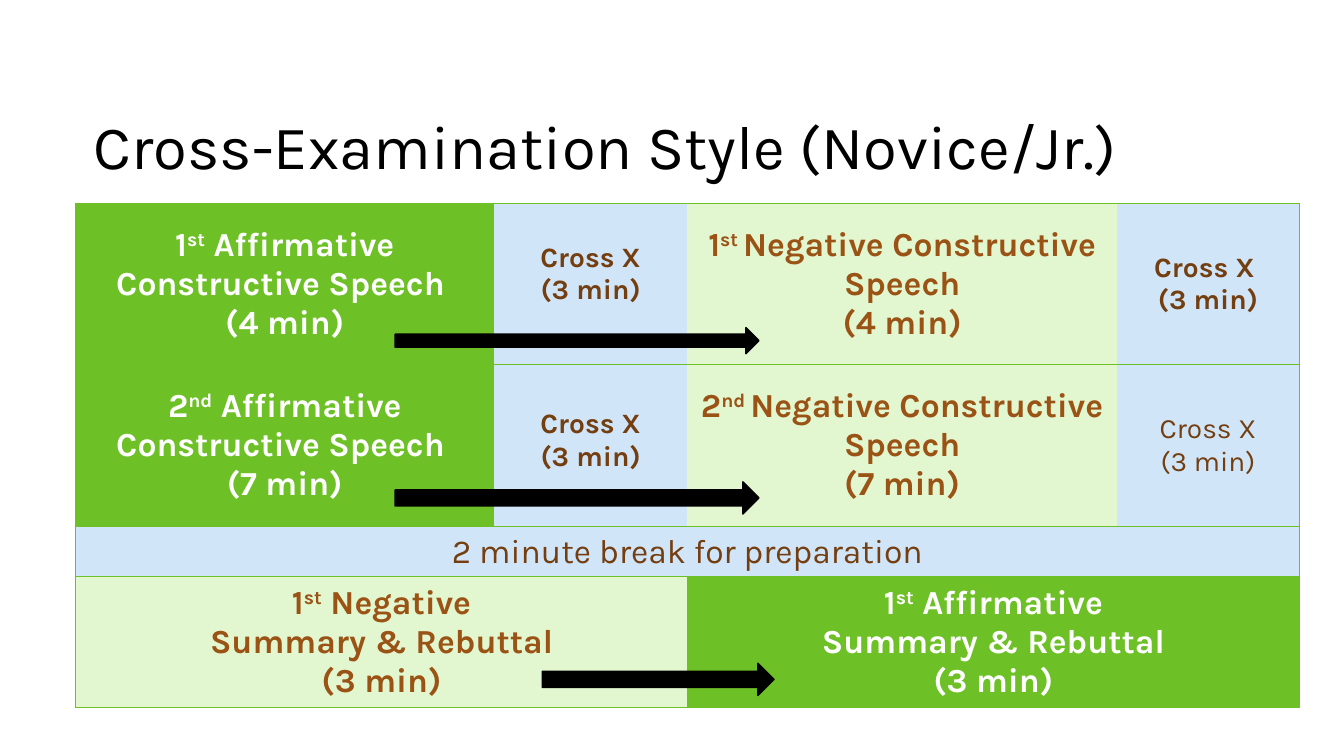
import lxml.etree
import pptx
import pptx.dml.color
import pptx.enum.shapes
import pptx.enum.text
import pptx.oxml.ns
import pptx.util

RGBColor = pptx.dml.color.RGBColor
BLACK = RGBColor(0x00, 0x00, 0x00)
WHITE = RGBColor(0xFF, 0xFF, 0xFF)
GREEN = RGBColor(0x6D, 0xC0, 0x25)
PALE_GREEN = RGBColor(0xE2, 0xF6, 0xD0)
PALE_BLUE = RGBColor(0xD1, 0xE5, 0xF9)
BROWN = RGBColor(0x73, 0x3E, 0x10)
ORANGE_BROWN = RGBColor(0x9A, 0x53, 0x15)

ANCHOR = pptx.enum.text.MSO_ANCHOR
ALIGN = pptx.enum.text.PP_ALIGN
FONT = "Karla"
GRID_COLUMNS, GRID_ROWS = 160, 90
UNIT = pptx.util.Inches(7.5) / GRID_ROWS
PLAIN_TABLE_STYLE = "{2D5ABB26-0587-4C30-8999-92F81FD0307C}"

TABLE_LEFT, TABLE_TOP = 9, 24.24
COLUMN_WIDTHS = [49.8, 23.04, 51.12, 21.72]
ROW_HEIGHTS = [19.2, 19.2, 5.64, 14.64]

# Fill and text format of each kind of cell
AFFIRMATIVE = (GREEN, {"size": pptx.util.Pt(24), "bold": True}, WHITE)
NEGATIVE = (PALE_GREEN, {"size": pptx.util.Pt(24), "bold": True}, ORANGE_BROWN)
CROSS = (PALE_BLUE, {"size": pptx.util.Pt(20), "bold": True}, BROWN)
LIGHT_CROSS = (PALE_BLUE, {"size": pptx.util.Pt(20), "bold": False}, BROWN)
BREAK = (PALE_BLUE, {"size": pptx.util.Pt(24), "bold": False}, BROWN)

# Row, column, columns spanned, kind, paragraphs; ^ encloses superscript, \v breaks a line
CELLS = [
    (0, 0, 1, AFFIRMATIVE, ["1^st^ Affirmative Constructive Speech ", "(4 min)"]),
    (0, 1, 1, CROSS, ["Cross X", "(3 min)"]),
    (0, 2, 1, NEGATIVE, ["1^st ^Negative Constructive Speech\v(4 min)"]),
    (0, 3, 1, CROSS, ["Cross X ", "(3 min)"]),
    (1, 0, 1, AFFIRMATIVE, ["2^nd^ Affirmative Constructive Speech ", "(7 min)"]),
    (1, 1, 1, CROSS, ["Cross X", "(3 min)"]),
    (1, 2, 1, NEGATIVE, ["2^nd ^Negative Constructive Speech\v(7 min)"]),
    (1, 3, 1, LIGHT_CROSS, ["Cross X", "(3 min)"]),
    (2, 0, 4, BREAK, ["2 minute break for preparation"]),
    (3, 0, 2, NEGATIVE, ["1^st^ Negative\vSummary & Rebuttal", "(3 min)"]),
    (3, 2, 2, AFFIRMATIVE, ["1^st^ Affirmative\vSummary & Rebuttal", "(3 min)"]),
]
# Bottom margins that lift the text of two cells above the middle
RAISED_MARGINS = {(0, 1): 3, (1, 1): 1.8}

# Left, top, width, height
ARROWS = [
    (47.04, 39, 43.32, 3.12),
    (64.56, 78.96, 27.6, 3.84),
    (47.04, 57.36, 43.32, 3.84),
]


def grid(*counts):
    """Turn grid counts into slide lengths."""
    return [pptx.util.Emu(round(count * UNIT)) for count in counts]


def set_format(target, values):
    for name, value in values.items():
        setattr(target, name, value)


def add_span(para, text, font_values, color, raised=False):
    span = para.add_run()
    span.text = text
    set_format(span.font, {"name": FONT, **font_values})
    span.font.color.rgb = color
    if raised:
        span._r.get_or_add_rPr().set("baseline", "30000")


def write_paragraph(para, line, font_values, color):
    for index, piece in enumerate(line.split("^")):
        for part_index, part in enumerate(piece.split("\v")):
            if part_index:
                para.add_line_break()
            if part:
                add_span(para, part, font_values, color, raised=index % 2 == 1)


def add_borders(cell, sides):
    properties = cell._tc.get_or_add_tcPr()
    for position, side in enumerate(sides):
        border = lxml.etree.Element(pptx.oxml.ns.qn("a:ln" + side), w="12700")
        fill = lxml.etree.SubElement(border, pptx.oxml.ns.qn("a:solidFill"))
        lxml.etree.SubElement(fill, pptx.oxml.ns.qn("a:srgbClr"), val=str(GREEN))
        properties.insert(position, border)


def fill_cell(table, row, column, span_count, kind, lines):
    fill, font_values, color = kind
    last = column + span_count - 1
    cell = table.cell(row, column)
    if span_count > 1:
        cell.merge(table.cell(row, last))
    cell.fill.solid()
    cell.fill.fore_color.rgb = fill
    cell.vertical_anchor = ANCHOR.BOTTOM if kind is BREAK else ANCHOR.MIDDLE
    if (row, column) in RAISED_MARGINS:
        cell.margin_bottom = grid(RAISED_MARGINS[row, column])[0]
    for index, line in enumerate(lines):
        frame = cell.text_frame
        para = frame.add_paragraph() if index else frame.paragraphs[0]
        para.alignment = ALIGN.CENTER
        write_paragraph(para, line, font_values, color)
    sides = ["L"] * (column == 0) + ["R"] * (last == len(COLUMN_WIDTHS) - 1)
    add_borders(cell, sides + ["T", "B"])


def add_schedule(page):
    place = grid(TABLE_LEFT, TABLE_TOP, sum(COLUMN_WIDTHS), sum(ROW_HEIGHTS))
    table = page.shapes.add_table(len(ROW_HEIGHTS), len(COLUMN_WIDTHS), *place).table
    set_format(table, {"first_row": False, "horz_banding": False})
    table._tbl.tblPr[0].text = PLAIN_TABLE_STYLE
    for column, width in zip(table.columns, grid(*COLUMN_WIDTHS)):
        column.width = width
    for row, height in zip(table.rows, grid(*ROW_HEIGHTS)):
        row.height = height
    for entry in CELLS:
        fill_cell(table, *entry)


def add_title(page, text):
    box = page.shapes.add_textbox(*grid(10, 8.52, 141.48, 13.8))
    set_format(box.text_frame, {"word_wrap": True, "vertical_anchor": ANCHOR.BOTTOM})
    para = box.text_frame.paragraphs[0]
    para.line_spacing = 0.9
    add_span(para, text, {"size": pptx.util.Pt(44)}, BLACK)


def add_arrow(page, place):
    kind = pptx.enum.shapes.MSO_SHAPE.RIGHT_ARROW
    arrow = page.shapes.add_shape(kind, *grid(*place))
    arrow.shadow.inherit = False
    arrow.fill.solid()
    arrow.fill.fore_color.rgb = BLACK
    arrow.line.color.rgb = BLACK
    arrow.line.width = pptx.util.Pt(1)


def main():
    deck = pptx.Presentation()
    deck.slide_width, deck.slide_height = grid(GRID_COLUMNS, GRID_ROWS)
    page = deck.slides.add_slide(deck.slide_layouts[6])
    add_title(page, "Cross-Examination Style (Novice/Jr.)")
    add_schedule(page)
    for place in ARROWS:
        add_arrow(page, place)
    deck.save("out.pptx")


if __name__ == "__main__":
    main()
